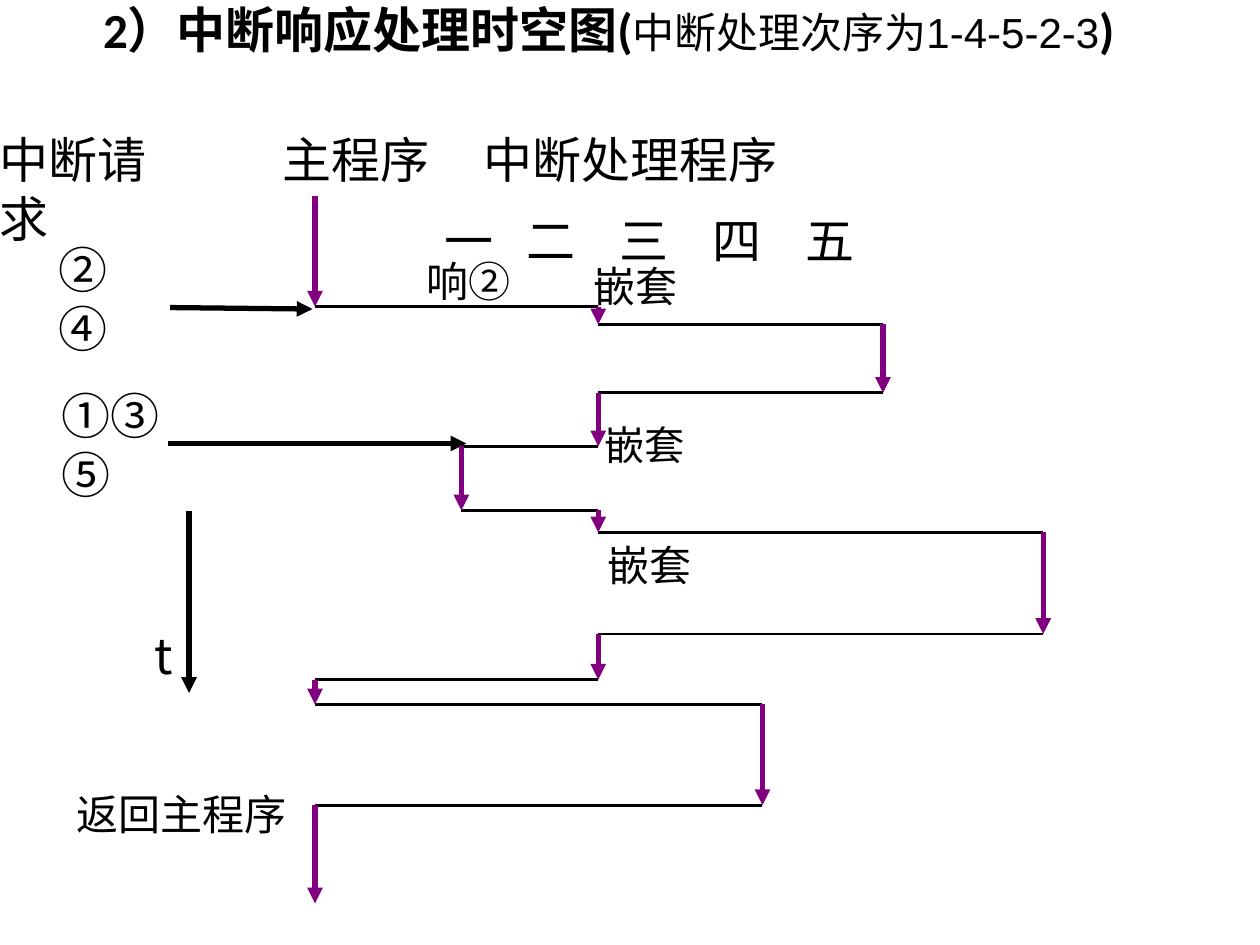
import itertools

import lxml.etree
import pptx
import pptx.dml.color
import pptx.enum.shapes
import pptx.enum.text
import pptx.oxml.ns
import pptx.util

Cm = pptx.util.Cm
Pt = pptx.util.Pt
qn = pptx.oxml.ns.qn

CJK_FONT = "Noto Sans CJK SC"
BLACK = "000000"
PURPLE = "800080"

# Lane offsets from the main program, in cm
LANES = {"main": 0, "one": 2.95, "two": 5.71, "three": 9.02, "four": 11.45, "five": 14.68}
RUN_ORDER = ["main", "two", "four", "two", "one", "two", "five", "two", "main", "three", "main"]
# Start of the first stretch, each switch of program, end of the last stretch
TIMES = [0, 2.22, 2.58, 3.96, 5.04, 6.33, 6.77, 8.82, 9.74, 10.24, 12.27, 14.25]


def color(hex_string):
    return pptx.dml.color.RGBColor.from_string(hex_string)


def add_line(slide, start, end, line_color=BLACK, width=1.62, arrow=False):
    line = slide.shapes.add_connector(
        pptx.enum.shapes.MSO_CONNECTOR.STRAIGHT, *(Cm(value) for value in (*start, *end))
    )
    line.line.color.rgb = color(line_color)
    line.line.width = Pt(width)
    properties = line._element.spPr
    if arrow:
        outline = properties.find(qn("a:ln"))
        lxml.etree.SubElement(outline, qn("a:tailEnd"), type="triangle")
    lxml.etree.SubElement(properties, qn("a:effectLst"))


def add_label(slide, left, top, width, text, size=28, wrap=False, tabs=()):
    """Place one line of text without insets; tabs are stops in cm from its left."""
    height = size * 0.0425
    label = slide.shapes.add_textbox(Cm(left), Cm(top), Cm(width), Cm(height))
    frame = label.text_frame
    frame.margin_left = frame.margin_right = frame.margin_top = frame.margin_bottom = 0
    frame.word_wrap = wrap
    paragraph = frame.paragraphs[0]
    paragraph.text = text
    paragraph.font.size = Pt(size)
    paragraph.font.name = CJK_FONT
    paragraph.font.color.rgb = color(BLACK)
    for run in paragraph.runs:
        lxml.etree.SubElement(run.font._element, qn("a:ea"), typeface=CJK_FONT)
    if tabs:
        stops = lxml.etree.Element(qn("a:tabLst"))
        for stop in tabs:
            lxml.etree.SubElement(stops, qn("a:tab"), pos=str(int(Cm(stop))), algn="l")
        paragraph._p.get_or_add_pPr().find(qn("a:defRPr")).addprevious(stops)


def add_title(slide, left, top, width, height):
    title = slide.shapes.add_textbox(Cm(left), Cm(top), Cm(width), Cm(height))
    title.text_frame.word_wrap = True
    paragraph = title.text_frame.paragraphs[0]
    paragraph.alignment = pptx.enum.text.PP_ALIGN.JUSTIFY
    paragraph.line_spacing = 0.9
    paragraph.space_before = Pt(7)
    paragraph.font.color.rgb = color(BLACK)
    for text, size, font_name, bold in [
        ("2）中断响应处理时空图(", 28, "Calibri", True),
        ("中断处理次序为1-4-5-2-3", 24, "Arial", False),
        (")", 28, "Calibri", True),
    ]:
        run = paragraph.add_run()
        run.text = text
        run.font.size = Pt(size)
        run.font.name = font_name
        run.font.bold = bold
        lxml.etree.SubElement(run.font._element, qn("a:ea"), typeface=CJK_FONT)


def add_headings(slide, left, top):
    add_label(slide, left, top, 3.94, "中断请求")
    add_label(slide, left + 5.7, top, 10, "主程序\t中断处理程序", tabs=[4.05])
    add_label(slide, left + 8.97, top + 1.62, 13.18, "一\t二\t三\t四\t五",
              wrap=True, tabs=[1.65, 3.52, 5.39, 7.26])


def add_requests(slide, left, top):
    """Interrupt requests with their arrows, above the time axis."""
    add_label(slide, left, top, 1.78, "②④", wrap=True)
    add_label(slide, left + 0.05, top + 2.95, 2.67, "①③⑤", wrap=True)
    for start, end in [
        ((2.24, 1.37), (5.11, 1.4)),
        ((2.19, 4.11), (8.21, 4.11)),
        ((2.62, 5.48), (2.62, 9.14)),
    ]:
        add_line(slide, (left + start[0], top + start[1]), (left + end[0], top + end[1]),
                 width=3, arrow=True)
    add_label(slide, left + 1.93, top + 7.77, 0.36, "t")


def add_timeline(slide, left, top):
    """Running stretches as arrows down the lanes, joined by the switches."""
    lane_xs = [left + LANES[lane] for lane in RUN_ORDER]
    times = [top + time for time in TIMES]
    for (x, next_x), time in zip(itertools.pairwise(lane_xs), times[1:]):
        add_line(slide, (x, time), (next_x, time))
    for x, (start, end) in zip(lane_xs, itertools.pairwise(times)):
        add_line(slide, (x, start), (x, end), PURPLE, width=3, arrow=True)
    for x, y, width, text, size in [
        (2.24, 1.2, 1.7, "响②", 24),
        (5.61, 1.3, 1.7, "嵌套", 24),
        (5.84, 4.52, 1.63, "嵌套", 23),
        (5.89, 6.91, 1.7, "嵌套", 24),
        (-4.8, 11.94, 4.24, "返回主程序", 24),
    ]:
        add_label(slide, left + x, top + y, width, text, size)


def main():
    presentation = pptx.Presentation()
    presentation.slide_width = Cm(25.4)
    presentation.slide_height = Cm(19.05)
    slide = presentation.slides.add_slide(presentation.slide_layouts[6])
    add_title(slide, left=1.83, top=0, width=23.57, height=2.51)
    add_headings(slide, left=0, top=2.62)
    add_requests(slide, left=1.19, top=4.83)
    add_timeline(slide, left=6.35, top=3.96)
    presentation.save("out.pptx")


if __name__ == "__main__":
    main()
